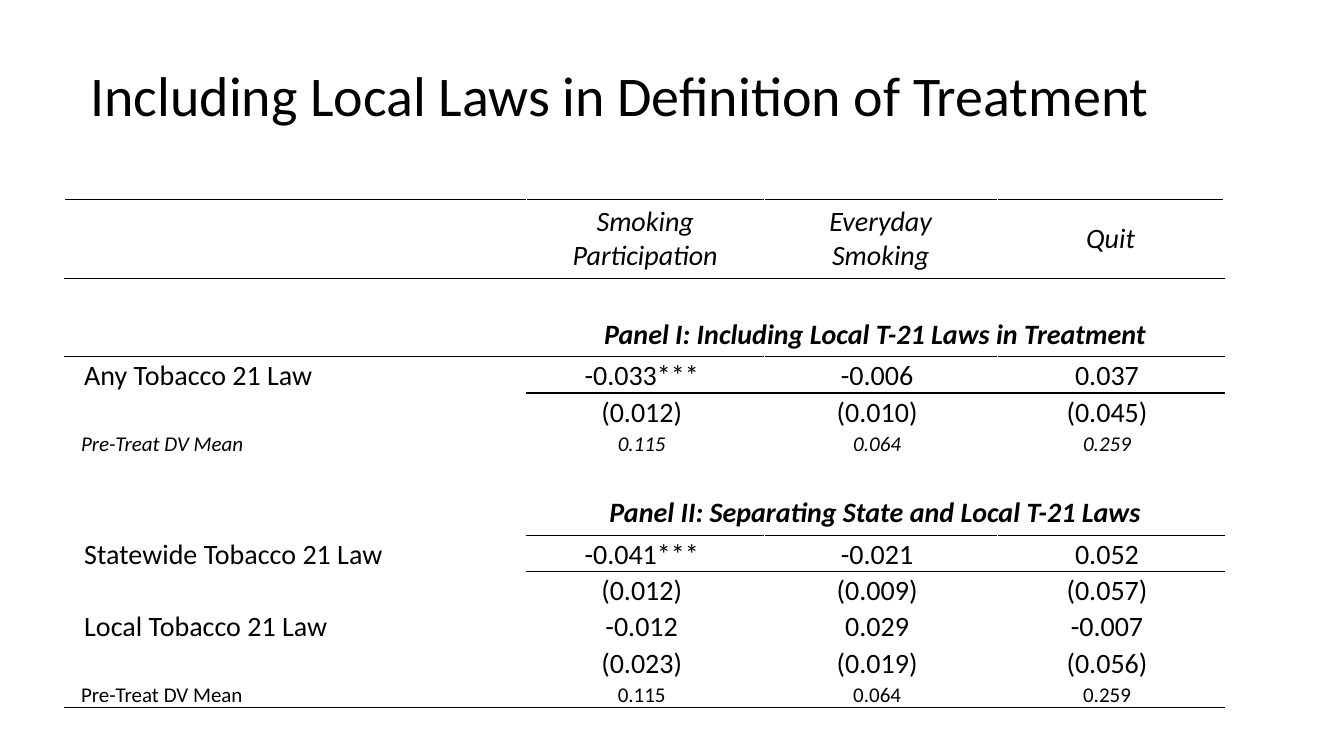
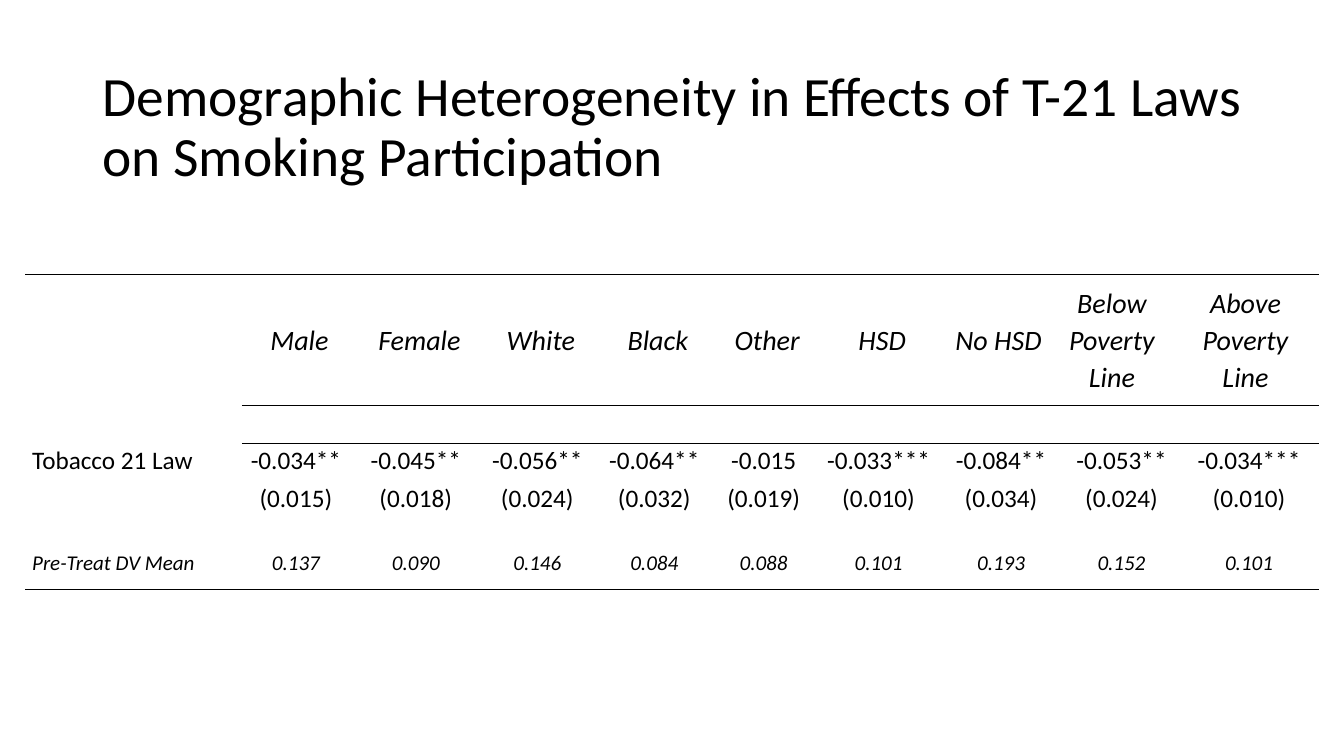
from lxml import etree
from pptx import Presentation
from pptx.dml.color import RGBColor
from pptx.enum.text import MSO_ANCHOR, PP_ALIGN
from pptx.oxml.ns import qn
from pptx.util import Inches, Pt

TOP, MIDDLE, BOTTOM = MSO_ANCHOR.TOP, MSO_ANCHOR.MIDDLE, MSO_ANCHOR.BOTTOM
LEFT, CENTER = PP_ALIGN.LEFT, PP_ALIGN.CENTER

# Shared look
FONT = "Calibri"
BLACK, WHITE = "000000", "FFFFFF"
PLAIN_TABLE = "{2D5ABB26-0587-4C30-8999-92F81FD0307C}"
SIDE_INSET = 0.07
VALUE_RIGHT_INSET = 0.14
TITLE_WIDTH = 11.5

# Row kinds: bold, italic, anchor, top and bottom inset
ROW_STYLES = {
    "header": (False, True, MIDDLE, 0.05),
    "panel": (True, True, BOTTOM, 0.05),
    "body": (False, False, TOP, 0),
    "note": (False, True, TOP, 0),
    "plain note": (False, False, TOP, 0),
}

# Each row: kind, height, text size, texts
# Starts: first column of each text; a text spans up to the next start
# Rules: row boundary -> first column of the line
SLIDES = [
    {
        "title": "Including Local Laws in Definition of Treatment",
        "title_at": (0.8, 0.5, 0.95),
        "title_size": 40,
        "at": (0.64, 1.98),
        "columns": [4.58, 2.36, 2.31, 2.25],
        "starts": {"panel": [0, 1]},
        "default_starts": [0, 1, 2, 3],
        "rules": {0: 0, 1: 0, 2: 1, 6: 1, 11: 0},
        "side_color": WHITE,
        "label_indent_em": 0.45,
        "header_spacing": 1.0,
        "rows": [
            ("header", 0.78, 20, ["", "Smoking\vParticipation", "Everyday\vSmoking", "Quit"]),
            ("panel", 0.78, 20, ["", "Panel I: Including Local T-21 Laws in Treatment"]),
            ("body", 0.36, 20, ["Any Tobacco 21 Law", "-0.033***", "-0.006", "0.037"]),
            ("body", 0.36, 20, ["", "(0.012)", "(0.010)", "(0.045)"]),
            ("note", 0.27, 15, ["Pre-Treat DV Mean", "0.115", "0.064", "0.259"]),
            ("panel", 0.78, 20, ["", "Panel II: Separating State and Local T-21 Laws"]),
            ("body", 0.36, 20, ["Statewide Tobacco 21 Law", "-0.041***", "-0.021", "0.052"]),
            ("body", 0.36, 20, ["", "(0.012)", "(0.009)", "(0.057)"]),
            ("body", 0.36, 20, ["Local Tobacco 21 Law", "-0.012", "0.029", "-0.007"]),
            ("body", 0.36, 20, ["", "(0.023)", "(0.019)", "(0.056)"]),
            ("plain note", 0.27, 15, ["Pre-Treat DV Mean", "0.115", "0.064", "0.259"]),
        ],
    },
    {
        "title": "Demographic Heterogeneity in Effects of T-21 Laws on Smoking Participation",
        "title_at": (0.92, 0.7, 1.15),
        "title_size": 39.6,
        "at": (0.25, 2.72),
        "columns": [2.15, 1.14, 1.24, 1.17, 1.15, 1.02, 1.26, 1.05, 0.12, 1.08, 0.14, 1.31],
        "starts": {"header": [*range(9), 10]},
        "default_starts": [*range(8), 9, 11],
        "rules": {0: 0, 1: 1, 5: 0},
        "side_color": None,
        "label_indent_em": 0,
        "header_spacing": 1.07,
        "rows": [
            ("header", 1.3, 20, ["", "Male", "Female", "White", "Black", "Other", "HSD", "No HSD",
                                 "Below\vPoverty\vLine", "Above\vPoverty\vLine"]),
            ("body", 0.38, 18, [""] * 10),
            ("body", 0.38, 18, ["Tobacco 21 Law", "-0.034**", "-0.045**", "-0.056**", "-0.064**",
                                "-0.015", "-0.033***", "-0.084**", "-0.053**", "-0.034***"]),
            ("body", 0.66, 18, ["", "(0.015)", "(0.018)", "(0.024)", "(0.032)",
                                "(0.019)", "(0.010)", "(0.034)", "(0.024)", "(0.010)"]),
            ("note", 0.41, 15, ["Pre-Treat DV Mean", "0.137", "0.090", "0.146", "0.084",
                                "0.088", "0.101", "0.193", "0.152", "0.101"]),
        ],
    },
]


def color(value):
    return RGBColor.from_string(value)


def style_paragraph(paragraph, size, spacing, bold=False, italic=False, align=LEFT):
    paragraph.alignment = align
    paragraph.line_spacing = spacing
    for run in paragraph.runs:
        font = run.font
        font.name, font.size = FONT, Pt(size)
        font.bold, font.italic = bold, italic
        font.color.rgb = color(BLACK)


def add_title(slide, content):
    left, top, height = content["title_at"]
    box = slide.shapes.add_textbox(*map(Inches, (left, top, TITLE_WIDTH, height)))
    frame = box.text_frame
    frame.word_wrap = True
    frame.vertical_anchor = MIDDLE
    frame.text = content["title"]
    style_paragraph(frame.paragraphs[0], content["title_size"], 0.9)


def set_borders(cell, edges):
    """Draw the given edges, a dict from edge letter to colour, in schema order."""
    properties = cell._tc.get_or_add_tcPr()
    for edge in "LRTB":
        if edges.get(edge):
            line = etree.SubElement(properties, qn("a:ln" + edge), w=str(Pt(1)))
            fill = etree.SubElement(line, qn("a:solidFill"))
            etree.SubElement(fill, qn("a:srgbClr"), val=edges[edge])


def fill_cell(cell, text, kind, size, is_label, content):
    bold, italic, anchor, vertical_inset = ROW_STYLES[kind]
    is_data = anchor == TOP
    indent = content["label_indent_em"] * size / 72 if is_label else 0
    cell.margin_left = Inches(SIDE_INSET + indent)
    cell.margin_right = Inches(VALUE_RIGHT_INSET if is_data and not is_label else SIDE_INSET)
    cell.margin_top = cell.margin_bottom = Inches(vertical_inset)
    cell.vertical_anchor = anchor
    if text:
        spacing = 1.07 if is_data else content["header_spacing"]
        cell.text_frame.text = text
        style_paragraph(cell.text_frame.paragraphs[0], size, spacing, bold, italic,
                        LEFT if is_label else CENTER)


def add_results(slide, content):
    columns, rows, rules = content["columns"], content["rows"], content["rules"]
    heights = [height for _, height, _, _ in rows]
    frame = slide.shapes.add_table(
        len(rows), len(columns),
        *map(Inches, (*content["at"], sum(columns), sum(heights))))
    table = frame.table
    table.first_row = table.horz_banding = False
    table._tbl.tblPr.find(qn("a:tableStyleId")).text = PLAIN_TABLE
    for column, width in zip(table.columns, columns):
        column.width = Inches(width)

    for r, (kind, height, size, texts) in enumerate(rows):
        table.rows[r].height = Inches(height)

        # Lines and empty fill
        for c in range(len(columns)):
            cell = table.cell(r, c)
            edges = {"L": content["side_color"], "R": content["side_color"]}
            for edge, boundary in (("T", r), ("B", r + 1)):
                if c >= rules.get(boundary, len(columns)):
                    edges[edge] = BLACK
            set_borders(cell, edges)
            cell.fill.background()
            cell.margin_top = cell.margin_bottom = 0

        # Texts, merged across the columns they span
        starts = content["starts"].get(kind, content["default_starts"])
        ends = [*starts[1:], len(columns)]
        for text, start, end in zip(texts, starts, ends):
            cell = table.cell(r, start)
            if end - start > 1:
                cell.merge(table.cell(r, end - 1))
            fill_cell(cell, text, kind, size, start == 0, content)


def main():
    deck = Presentation()
    deck.slide_width, deck.slide_height = Inches(13.33), Inches(7.5)
    for content in SLIDES:
        slide = deck.slides.add_slide(deck.slide_layouts[6])
        add_title(slide, content)
        add_results(slide, content)
    deck.save("out.pptx")


if __name__ == "__main__":
    main()
